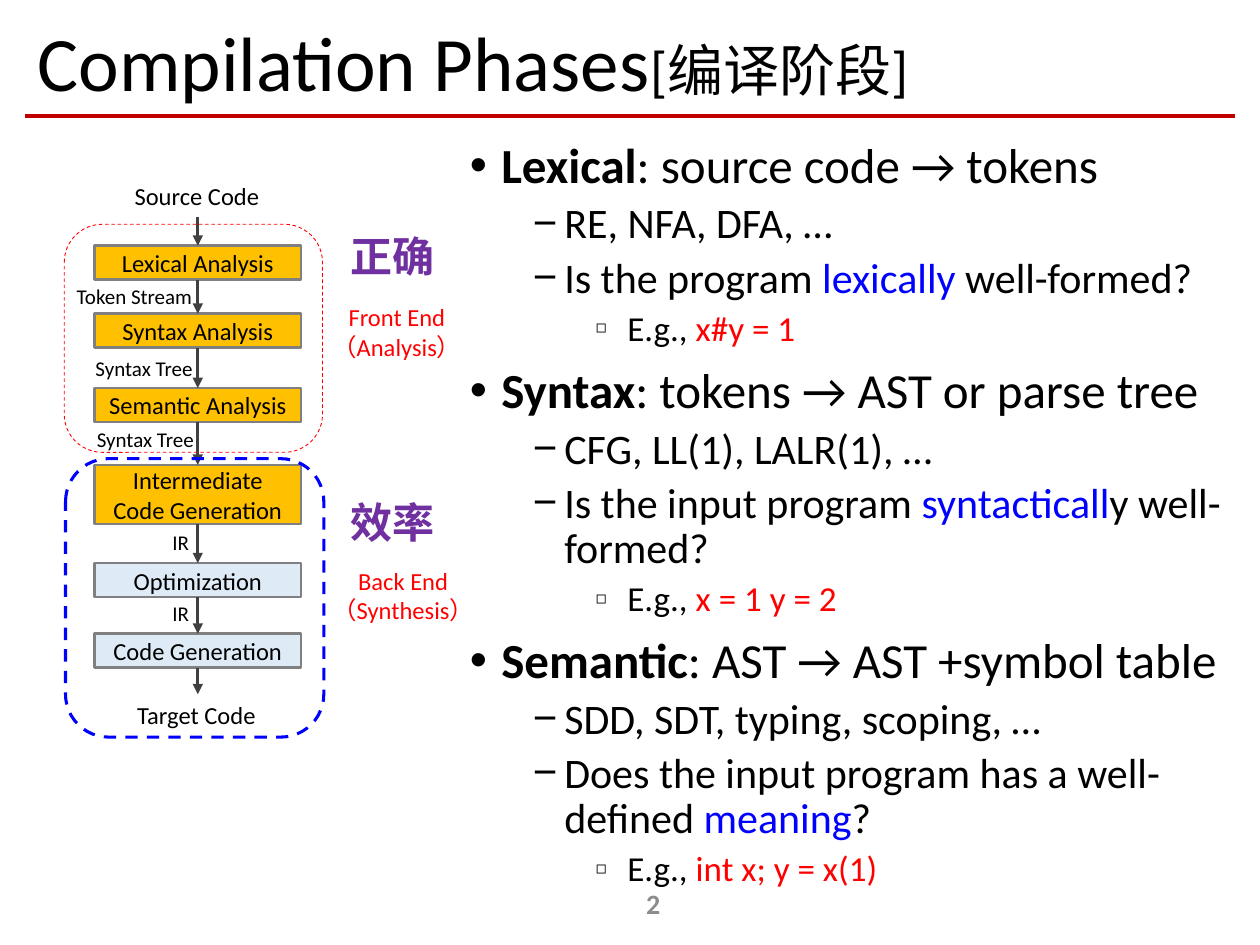
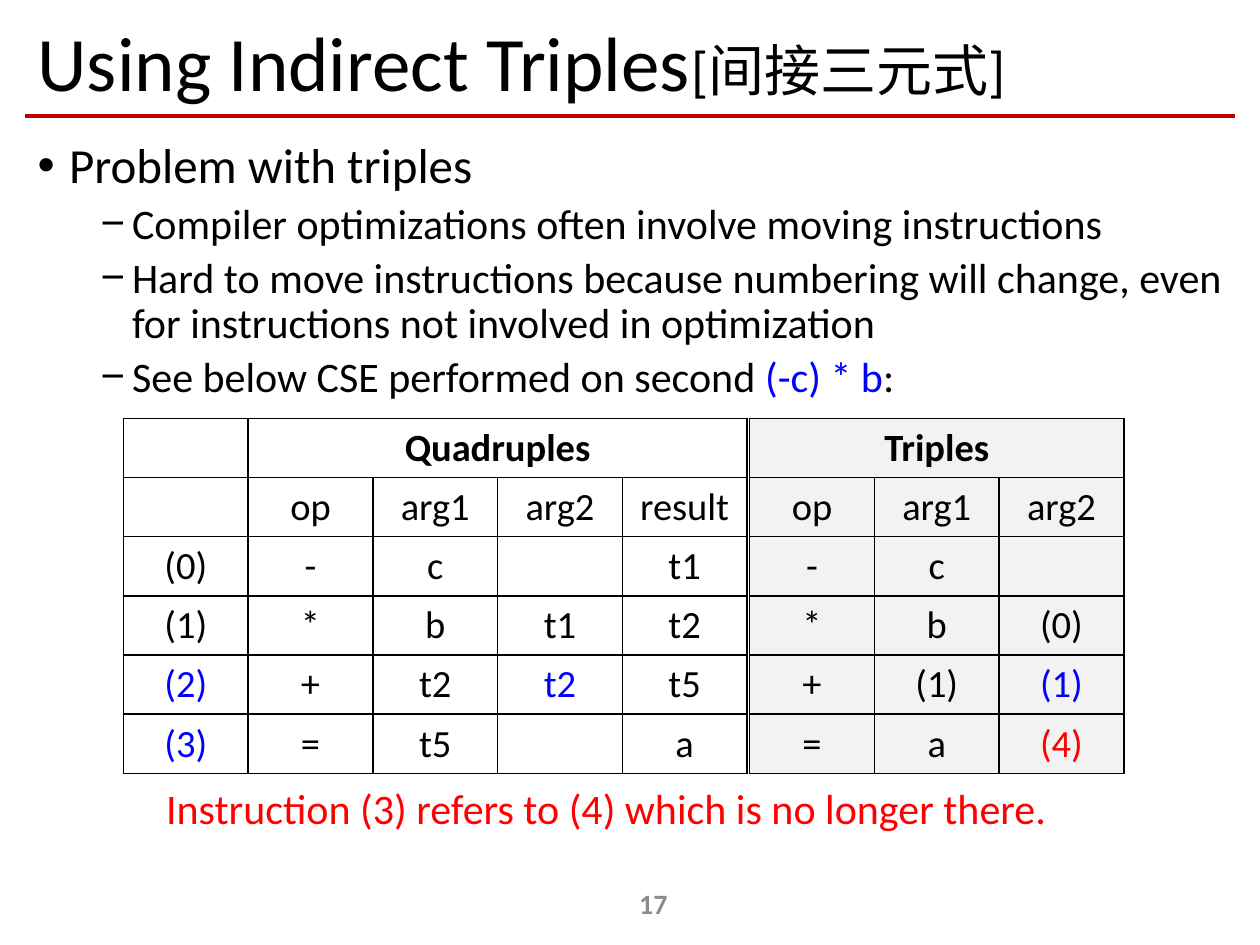
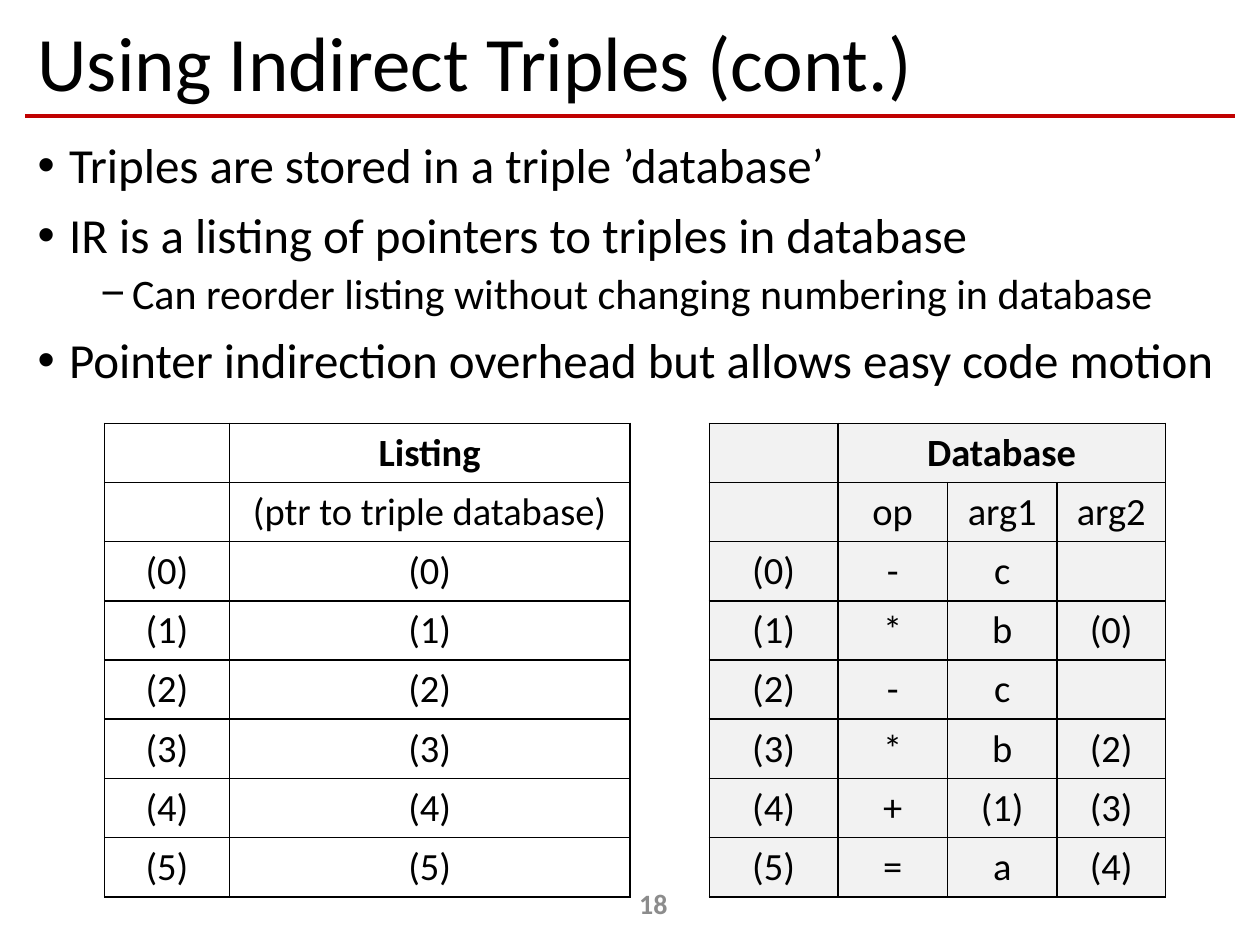
from dataclasses import dataclass

from lxml import etree
from pptx import Presentation
from pptx.dml.color import RGBColor
from pptx.enum.dml import MSO_LINE
from pptx.enum.shapes import MSO_CONNECTOR, MSO_SHAPE
from pptx.enum.text import MSO_ANCHOR, MSO_AUTO_SIZE, PP_ALIGN
from pptx.oxml.ns import qn
from pptx.util import Inches, Pt

DASH = MSO_LINE.DASH
STRAIGHT = MSO_CONNECTOR.STRAIGHT
RECT, ROUNDED = MSO_SHAPE.RECTANGLE, MSO_SHAPE.ROUNDED_RECTANGLE
MIDDLE = MSO_ANCHOR.MIDDLE
GROW = MSO_AUTO_SIZE.SHAPE_TO_FIT_TEXT
LEFT, CENTER = PP_ALIGN.LEFT, PP_ALIGN.CENTER


@dataclass(frozen=True)
class Theme:
    font: str = "Calibri"
    text: str = "000000"
    rule: str = "C00000"
    page_number: str = "8C8C8C"
    blue: str = "0000FF"
    red: str = "FF0000"
    purple: str = "7030A0"
    front_fill: str = "FFC000"
    back_fill: str = "DEEBF7"
    box_line: str = "808080"
    arrow: str = "404040"
    shade: str = "F2F2F2"
    title_size: int = 44
    subtitle_size: int = 32
    note_size: int = 24
    table_size: int = 22
    page_size: int = 16
    box_size: int = 14
    label_size: int = 12


THEME = Theme()

# Per outline level: type size, indent, space before, bullet, bullet size in percent
LEVELS = [
    (28, 0.25, 10, "•", 100),
    (24, 0.75, 5, "−", 100),
    (20, 1.25, 5, "◻", 50),
]

BLUE = {"color": THEME.blue}
RED = {"color": THEME.red}
BOLD = {"bold": True}
SUBTITLE = {"size": THEME.subtitle_size}

ROW_HEIGHT = 0.47
COLUMN = 0.99

# Label, top, height, fill
STAGES = [
    ("Lexical Analysis", 1.95, 0.27, THEME.front_fill),
    ("Syntax Analysis", 2.49, 0.27, THEME.front_fill),
    ("Semantic Analysis", 3.08, 0.27, THEME.front_fill),
    ("Intermediate Code Generation", 3.69, 0.47, THEME.front_fill),
    ("Optimization", 4.47, 0.27, THEME.back_fill),
    ("Code Generation", 5.03, 0.27, THEME.back_fill),
]
STAGE_LEFT, STAGE_WIDTH = 0.75, 1.64
SOURCE_BOTTOM, TARGET_TOP = 1.72, 5.51

# Label, box, size
FLOW_LABELS = [
    ("Source Code", (0.97, 1.39, 1.2, 0.34), THEME.box_size),
    ("Target Code", (0.99, 5.51, 1.15, 0.34), THEME.box_size),
    ("Token Stream", (0.51, 2.2, 1.15, 0.3), THEME.label_size),
    ("Syntax Tree", (0.66, 2.77, 1, 0.3), THEME.label_size),
    ("Syntax Tree", (0.67, 3.34, 1, 0.3), THEME.label_size),
    ("IR", (1.27, 4.15, 0.34, 0.3), THEME.label_size),
    ("IR", (1.27, 4.72, 0.34, 0.3), THEME.label_size),
]

# Outline box, line colour, line width, goal, goal top, name lines, name box
COMPILER_ENDS = [
    ((0.51, 1.78, 2.05, 1.81), THEME.red, 0.5, "正确", 1.78,
     ("Front End", "（Analysis）"), (2.53, 2.35, 1.24, 0.57)),
    ((0.52, 3.64, 2.05, 2.21), THEME.blue, 1.75, "效率", 3.89,
     ("Back End", "（Synthesis）"), (2.53, 4.44, 1.34, 0.57)),
]

# Outlines: level, then runs; a run is text or (text, format)
PHASES = [
    (0, ("Lexical", BOLD), ": source code → tokens"),
    (1, "RE, NFA, DFA, …"),
    (1, "Is the program ", ("lexically", BLUE), " well-formed?"),
    (2, "E.g., ", ("x#y = 1", RED)),
    (0, ("Syntax", BOLD), ": tokens → AST or parse tree"),
    (1, "CFG, LL(1), LALR(1), …"),
    (1, "Is the input program ", ("syntacticall", BLUE), "y well-formed?"),
    (2, "E.g., ", ("x = 1 y = 2", RED)),
    (0, ("Semantic", BOLD), ": AST → AST +symbol table"),
    (1, "SDD, SDT, typing, scoping, …"),
    (1, "Does the input program has a well-defined ", ("meaning", BLUE), "?"),
    (2, "E.g., ", ("int x; y = x(1)", RED)),
]

TRIPLE_PROBLEM = [
    (0, "Problem with triples"),
    (1, "Compiler optimizations often involve moving instructions"),
    (1, "Hard to move instructions because numbering will change, even for "
        "instructions not involved in optimization"),
    (1, "See below CSE performed on second ", ("(-c) * b", BLUE), ":"),
]

INDIRECTION = [
    (0, "Triples are stored in a triple ’database’"),
    (0, "IR is a listing of pointers to triples in database"),
    (1, "Can reorder listing without changing numbering in database"),
    (0, "Pointer indirection overhead but allows easy code motion"),
]

QUADRUPLES = [
    ["", "Quadruples", "", "", ""],
    ["", "op", "arg1", "arg2", "result"],
    ["(0)", "-", "c", "", "t1"],
    ["(1)", "*", "b", "t1", "t2"],
    [("(2)", BLUE), "+", "t2", ("t2", BLUE), "t5"],
    [("(3)", BLUE), "=", "t5", "", "a"],
]

TRIPLES = [
    ["Triples", "", ""],
    ["op", "arg1", "arg2"],
    ["-", "c", ""],
    ["*", "b", "(0)"],
    ["+", "(1)", ("(1)", BLUE)],
    ["=", "a", ("(4)", RED)],
]

DATABASE = [
    ["", "Database", "", ""],
    ["", "op", "arg1", "arg2"],
    ["(0)", "-", "c", ""],
    ["(1)", "*", "b", "(0)"],
    ["(2)", "-", "c", ""],
    ["(3)", "*", "b", "(2)"],
    ["(4)", "+", "(1)", "(3)"],
    ["(5)", "=", "a", "(4)"],
]

LISTING = [["", "Listing"], ["", "(ptr to triple database)"]]
LISTING += [[f"({index})"] * 2 for index in range(6)]


def inches(values):
    return [Inches(value) for value in values]


def rgb(color):
    return RGBColor.from_string(color)


def add_runs(paragraph, runs, **base):
    """Add runs, each plain text or (text, format), on top of a base format."""
    for item in runs:
        text, extra = item if isinstance(item, tuple) else (item, {})
        style = {"name": THEME.font, "color": THEME.text, **base, **extra}
        run = paragraph.add_run()
        run.text = text
        run.font.color.rgb = rgb(style.pop("color"))
        style["size"] = Pt(style["size"])
        for name, value in style.items():
            setattr(run.font, name, value)


def add_text(slide, box, lines, align=LEFT, wrap=True, anchor=None, spacing=None, **base):
    """Add a text box; each line is a list of runs."""
    frame = slide.shapes.add_textbox(*inches(box)).text_frame
    frame.word_wrap = wrap
    if not wrap:
        frame.auto_size = GROW
    if anchor is not None:
        frame.vertical_anchor = anchor
    for index, runs in enumerate(lines):
        paragraph = frame.add_paragraph() if index else frame.paragraphs[0]
        paragraph.alignment = align
        paragraph.line_spacing = spacing
        add_runs(paragraph, runs, **base)


def set_bullet(paragraph, indent, bullet, percent):
    props = paragraph._p.get_or_add_pPr()
    props.set("marL", str(Inches(indent)))
    props.set("indent", str(Inches(-0.25)))
    etree.SubElement(props, qn("a:buSzPct"), val=str(percent * 1000))
    etree.SubElement(props, qn("a:buFont"), typeface="Arial")
    etree.SubElement(props, qn("a:buChar"), char=bullet)


def add_outline(slide, box, items):
    frame = slide.shapes.add_textbox(*inches(box)).text_frame
    frame.word_wrap = True
    for index, (level, *runs) in enumerate(items):
        size, indent, before, bullet, percent = LEVELS[level]
        paragraph = frame.add_paragraph() if index else frame.paragraphs[0]
        paragraph.level = level
        paragraph.line_spacing = 0.9
        paragraph.space_before = Pt(before)
        set_bullet(paragraph, indent, bullet, percent)
        add_runs(paragraph, runs, size=size)


def add_line(slide, start, end, color, width, arrow=False):
    connector = slide.shapes.add_connector(STRAIGHT, *inches(start + end))
    connector.line.color.rgb = rgb(color)
    connector.line.width = Pt(width)
    if arrow:
        etree.SubElement(connector.line._get_or_add_ln(), qn("a:tailEnd"), type="triangle")
    etree.SubElement(connector._element.spPr, qn("a:effectLst"))


def add_box(slide, kind, box, line, width, fill=None, dash=None):
    shape = slide.shapes.add_shape(kind, *inches(box))
    shape.shadow.inherit = False
    shape.line.color.rgb = rgb(line)
    shape.line.width = Pt(width)
    if dash is not None:
        shape.line.dash_style = dash
    if fill:
        shape.fill.solid()
        shape.fill.fore_color.rgb = rgb(fill)
    else:
        shape.fill.background()
    return shape


def set_borders(cell):
    props = cell._tc.get_or_add_tcPr()
    for side in ("lnL", "lnR", "lnT", "lnB"):
        border = etree.SubElement(props, qn(f"a:{side}"), w=str(Pt(1)))
        fill = etree.SubElement(border, qn("a:solidFill"))
        etree.SubElement(fill, qn("a:srgbClr"), val=THEME.text)


def add_grid(slide, left, top, widths, rows, heading, fill=None):
    """Add a table whose top heading spans from column `heading` to the last."""
    height = ROW_HEIGHT * len(rows)
    table = slide.shapes.add_table(
        len(rows), len(widths), *inches((left, top, sum(widths), height))).table
    table.first_row = table.horz_banding = False
    for column, width in zip(table.columns, widths):
        column.width = Inches(width)
    for row_index, values in enumerate(rows):
        table.rows[row_index].height = Inches(ROW_HEIGHT)
        for column_index, value in enumerate(values):
            cell = table.cell(row_index, column_index)
            set_borders(cell)
            if fill:
                cell.fill.solid()
                cell.fill.fore_color.rgb = rgb(fill)
            else:
                cell.fill.background()
            if value:
                paragraph = cell.text_frame.paragraphs[0]
                paragraph.alignment = CENTER
                add_runs(paragraph, [value], size=THEME.table_size, bold=row_index == 0)
    if heading < len(widths) - 1:
        table.cell(0, heading).merge(table.cell(0, len(widths) - 1))


def add_slide(deck, number, *title):
    """Add a blank slide with the shared rule, title and page number."""
    slide = deck.slides.add_slide(deck.slide_layouts[6])
    add_line(slide, (0.2, 0.92), (9.8, 0.92), THEME.rule, 2.5)
    add_text(slide, (0.2, 0.13, 9.61, 0.79), [title], anchor=MIDDLE, spacing=0.9,
             size=THEME.title_size)
    add_text(slide, (4.06, 6.97, 2.25, 0.4), [[str(number)]], CENTER, anchor=MIDDLE,
             size=THEME.page_size, color=THEME.page_number, bold=True)
    return slide


def add_pipeline(slide):
    center = STAGE_LEFT + STAGE_WIDTH / 2
    previous_bottom = SOURCE_BOTTOM
    for label, top, height, fill in STAGES:
        box = (STAGE_LEFT, top, STAGE_WIDTH, height)
        stage = add_box(slide, RECT, box, THEME.box_line, 1.5, fill)
        stage.text_frame.word_wrap = True
        stage.text_frame.vertical_anchor = MIDDLE
        paragraph = stage.text_frame.paragraphs[0]
        paragraph.alignment = CENTER
        add_runs(paragraph, [label], size=THEME.box_size)
        add_line(slide, (center, previous_bottom), (center, top), THEME.arrow, 1.5, arrow=True)
        previous_bottom = top + height
    add_line(slide, (center, previous_bottom), (center, TARGET_TOP), THEME.arrow, 1.5, arrow=True)
    for label, box, size in FLOW_LABELS:
        add_text(slide, box, [[label]], wrap=False, size=size)


def add_compiler_ends(slide):
    for outline, color, width, goal, goal_top, names, name_box in COMPILER_ENDS:
        add_box(slide, ROUNDED, outline, color, width, dash=DASH)
        add_text(slide, name_box, [[name] for name in names], CENTER,
                 size=THEME.box_size, color=THEME.red)
        add_text(slide, (2.68, goal_top, 0.88, 0.5), [[goal]], wrap=False,
                 size=THEME.note_size, color=THEME.purple, bold=True)


def main():
    deck = Presentation()
    deck.slide_width, deck.slide_height = Inches(10), Inches(7.5)
    wide_body = (0.2, 1.07, 9.61, 5.68)

    phases = add_slide(deck, 2, "Compilation Phases", ("[编译阶段]", SUBTITLE))
    add_pipeline(phases)
    add_compiler_ends(phases)
    add_outline(phases, (3.63, 1.07, 6.18, 6.06), PHASES)

    problem = add_slide(deck, 17, "Using Indirect Triples", ("[间接三元式]", SUBTITLE))
    add_outline(problem, wide_body, TRIPLE_PROBLEM)
    add_grid(problem, 0.98, 3.32, [COLUMN] * 5, QUADRUPLES, 1)
    add_grid(problem, 5.95, 3.32, [COLUMN] * 3, TRIPLES, 0, THEME.shade)
    add_text(problem, (1.22, 6.16, 7.24, 0.5),
             [["Instruction (3) refers to (4) which is no longer there."]],
             wrap=False, size=THEME.note_size, color=THEME.red)

    indirect = add_slide(deck, 18, "Using Indirect Triples (cont.)")
    add_outline(indirect, wide_body, INDIRECTION)
    add_grid(indirect, 5.63, 3.36, [1.02, 0.87, 0.87, 0.86], DATABASE, 1, THEME.shade)
    add_grid(indirect, 0.83, 3.36, [COLUMN, 3.18], LISTING, 1)

    deck.save("out.pptx")


if __name__ == "__main__":
    main()
